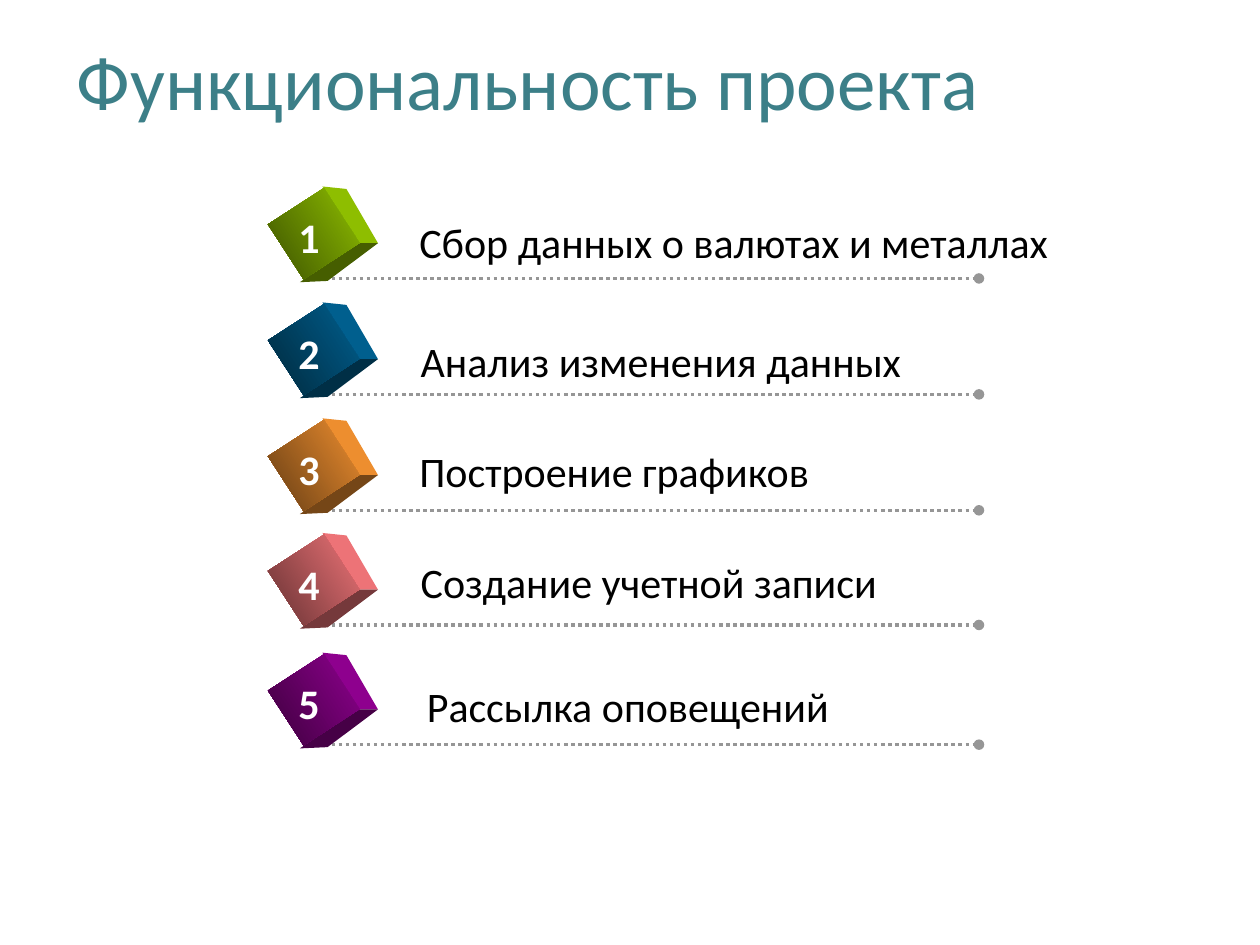
from pptx import Presentation
from pptx.dml.color import RGBColor
from pptx.enum.dml import MSO_LINE
from pptx.enum.shapes import MSO_CONNECTOR, MSO_SHAPE
from pptx.enum.text import MSO_ANCHOR, MSO_AUTO_SIZE
from pptx.oxml.ns import qn
from pptx.util import Inches, Pt
from lxml.etree import SubElement

# Label, cube colour, label offset from the row's corner, label width
ROWS = [
    ("Сбор данных о валютах и металлах", "99CC00", 1.10, 0.19, 5.24),
    ("Анализ изменения данных", "006699", 1.11, 0.21, 4.06),
    ("Построение графиков", "FF9933", 1.10, 0.17, 3.32),
    ("Создание учетной записи", "FF7C80", 1.11, 0.14, 3.86),
    ("Рассылка оповещений", "990099", 1.16, 0.17, 3.43),
]
TOPS = [1.48, 2.40, 3.32, 4.23, 5.18]
SIDE = [(0.43, 0), (0.62, 0.02), (0.87, 0.45), (0.70, 0.45)]
BASE = [(0.25, 0.76), (0.70, 0.45), (0.87, 0.45), (0.47, 0.75)]


def color(code, part=1):
    rgb = RGBColor.from_string(code)
    return RGBColor(*(round(c * part) for c in rgb))


def add_text(shapes, box, text, size, code, bold=False, wrap=False):
    shape = shapes.add_textbox(*map(Inches, box))
    frame = shape.text_frame
    frame.text = text
    frame.word_wrap = wrap
    if not wrap:
        frame.auto_size = MSO_AUTO_SIZE.SHAPE_TO_FIT_TEXT
    font = frame.paragraphs[0].runs[0].font
    font.name, font.size, font.bold = "Calibri", Pt(size), bold
    font.color.rgb = color(code)
    return frame


def add_title(shapes, box, text):
    frame = add_text(shapes, box, text, 44, "3C7F88", wrap=True)
    frame.vertical_anchor = MSO_ANCHOR.MIDDLE
    frame.paragraphs[0].line_spacing = 0.9


def add_rule(shapes, left, top, width):
    line = shapes.add_connector(MSO_CONNECTOR.STRAIGHT, Inches(left), Inches(top),
                                Inches(left + width), Inches(top))
    line.line.color.rgb = color("969696")
    line.line.width = Pt(2)
    line.line.dash_style = MSO_LINE.ROUND_DOT
    SubElement(line.line._get_or_add_ln(), qn("a:tailEnd"), type="oval")
    SubElement(line._element.spPr, qn("a:effectLst"))


def add_cube(shapes, left, top, code):
    # Side and base faces
    for points, part in ((SIDE, 0.93), (BASE, 0.46)):
        spots = [(Inches(left + x), Inches(top + y)) for x, y in points]
        pen = shapes.build_freeform(*spots[0])
        pen.add_line_segments(spots[1:], close=True)
        face = pen.convert_to_shape()
        face.shadow.inherit = False
        face.fill.solid()
        face.fill.fore_color.rgb = color(code, part)
        face.line.fill.background()
    # Front face
    front = shapes.add_shape(MSO_SHAPE.RECTANGLE, Inches(left + 0.10),
                             Inches(top + 0.11), Inches(0.52), Inches(0.53))
    front.rotation = 57
    front.shadow.inherit = False
    front.line.fill.background()
    front.fill.gradient()
    front.fill.gradient_angle = 270
    for stop, part in zip(front.fill.gradient_stops, (0.93, 0.4)):
        stop.color.rgb = color(code, part)


def add_row(shapes, left, top, number, label, code, dx, dy, width):
    group = shapes.add_group_shape().shapes
    add_rule(group, left + 0.39, top + 0.73, 5.25)
    add_cube(group, left, top, code)
    add_text(group, (left + dx, top + dy, width, 0.51), label, 24, "000000")
    add_text(group, (left + 0.14, top + 0.15, 0.39, 0.5), str(number), 24,
             "FFFFFF", bold=True)


deck = Presentation()
deck.slide_width, deck.slide_height = Inches(10), Inches(7.5)
shapes = deck.slides.add_slide(deck.slide_layouts[6]).shapes

add_title(shapes, (0.51, 0.18, 7.57, 1), "Функциональность проекта")
for number, (top, row) in enumerate(zip(TOPS, ROWS), 1):
    add_row(shapes, 2.13, top, number, *row)

deck.save("out.pptx")
